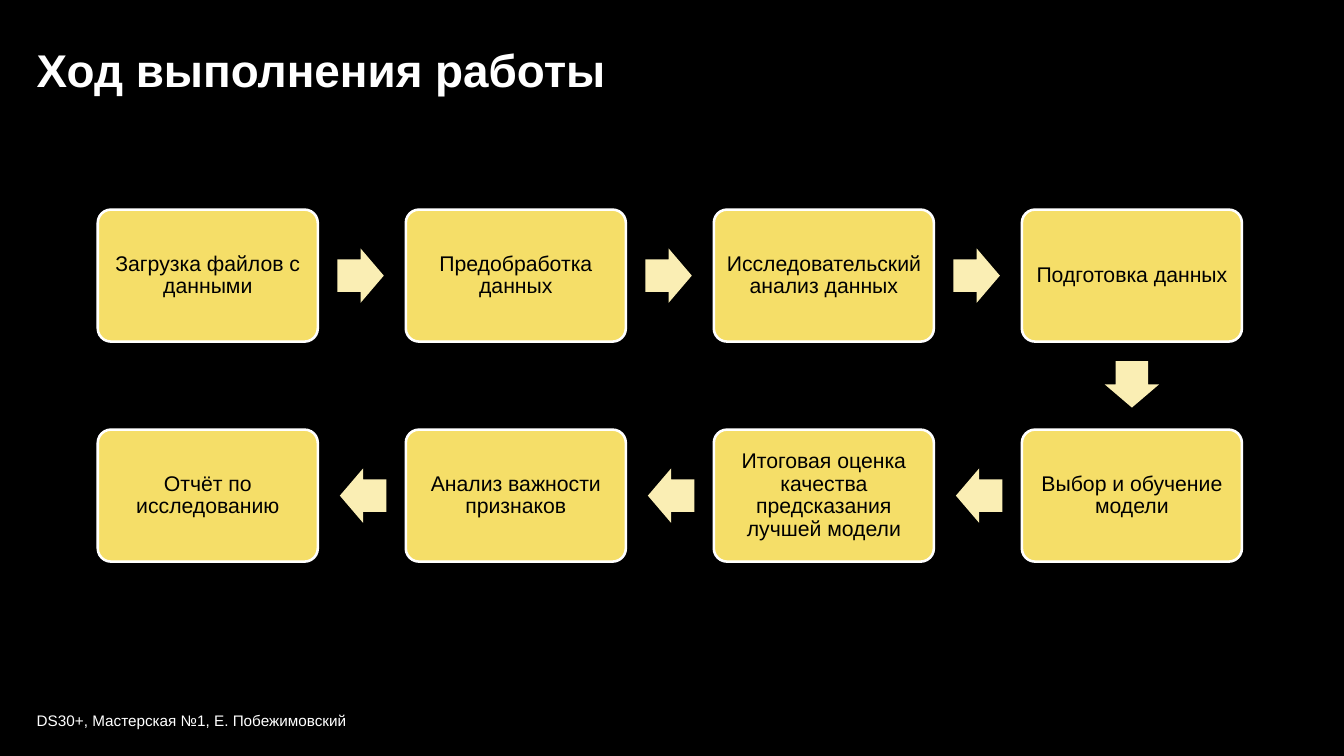
from pptx import Presentation
from pptx.dml.color import RGBColor
from pptx.enum.shapes import MSO_SHAPE
from pptx.enum.text import MSO_ANCHOR, PP_ALIGN
from pptx.util import Inches, Pt

ROUNDED = MSO_SHAPE.ROUNDED_RECTANGLE
ARROW = MSO_SHAPE.RIGHT_ARROW
TOP, MIDDLE = MSO_ANCHOR.TOP, MSO_ANCHOR.MIDDLE
LEFT, CENTER = PP_ALIGN.LEFT, PP_ALIGN.CENTER

COLORS = {"black": "000000", "white": "FFFFFF", "step": "F5DE68", "arrow": "FAEEB4"}
FONT = "Arial"

STEPS = [
    "Загрузка файлов с данными",
    "Предобработка данных",
    "Исследовательский анализ данных",
    "Подготовка данных",
    "Выбор и обучение модели",
    "Итоговая оценка качества предсказания лучшей модели",
    "Анализ важности признаков",
    "Отчёт по исследованию",
]
COLUMNS = 4
STEP_W, STEP_H = 3.6, 2.16
FIRST_X, FIRST_Y = 3.4, 4.51  # centre of the first step
PITCH_X, PITCH_Y = 5.04, 3.6
ARROW_W, ARROW_H = 0.76, 0.89
ARROW_SHIFT = 0.02  # arrows sit slightly nearer the step they leave


def color(name):
    return RGBColor.from_string(COLORS[name])


def write(shape, text, size=25, ink="black", bold=False, align=LEFT,
          anchor=TOP, spacing=1.0, insets=(0, 0, 0, 0)):
    frame = shape.text_frame
    frame.word_wrap = True
    frame.vertical_anchor = anchor
    (frame.margin_left, frame.margin_top,
     frame.margin_right, frame.margin_bottom) = map(Inches, insets)
    frame.text = text
    paragraph = frame.paragraphs[0]
    paragraph.alignment = align
    paragraph.line_spacing = spacing
    font = paragraph.font
    font.name, font.size, font.bold = FONT, Pt(size), bold
    font.color.rgb = color(ink)


class WorkflowSlide:
    def __init__(self, prs):
        self.slide = prs.slides.add_slide(prs.slide_layouts[5])
        background = self.slide.background.fill
        background.solid()
        background.fore_color.rgb = color("black")

    def title(self, text):
        title = self.slide.shapes.title
        title.left, title.top = Inches(0.6), Inches(0.56)
        title.width, title.height = Inches(9.56), Inches(1.03)
        write(title, text, size=54, ink="white", bold=True,
              spacing=1.08, insets=(0, 0.05, 0, 0))

    def block(self, preset, x, y, width, height, fill):
        """Add a filled shape centred on x, y."""
        block = self.slide.shapes.add_shape(
            preset, Inches(x - width / 2), Inches(y - height / 2),
            Inches(width), Inches(height))
        block.shadow.inherit = False
        block.fill.solid()
        block.fill.fore_color.rgb = color(fill)
        block.line.fill.background()
        return block

    def step(self, x, y, text):
        step = self.block(ROUNDED, x, y, STEP_W, STEP_H, "step")
        step.adjustments[0] = 0.1
        step.line.color.rgb = color("white")
        step.line.width = Pt(3)
        write(step, text, align=CENTER, anchor=MIDDLE, spacing=0.9,
              insets=(0.1, 0.1, 0.1, 0.1))

    def arrow(self, x, y, rotation):
        arrow = self.block(ARROW, x, y, ARROW_W, ARROW_H, "arrow")
        arrow.adjustments[0] = 0.6
        arrow.adjustments[1] = 0.5
        arrow.rotation = rotation

    def footer(self, text):
        footer = self.slide.shapes.add_textbox(
            Inches(0.6), Inches(11.59), Inches(6.38), Inches(0.36))
        write(footer, text, size=18, ink="white", spacing=1.18)


def step_center(index):
    """Rows run alternately rightwards and leftwards."""
    row, column = divmod(index, COLUMNS)
    if row % 2:
        column = COLUMNS - 1 - column
    return FIRST_X + column * PITCH_X, FIRST_Y + row * PITCH_Y


def main():
    prs = Presentation()
    prs.slide_width, prs.slide_height = Inches(21.99), Inches(12.37)
    workflow = WorkflowSlide(prs)
    workflow.title("Ход выполнения работы")

    # Steps, each followed by an arrow to the next one
    centers = [step_center(i) for i in range(len(STEPS))]
    for i, (text, (x, y)) in enumerate(zip(STEPS, centers)):
        workflow.step(x, y, text)
        if i + 1 < len(STEPS):
            next_x, next_y = centers[i + 1]
            mid_x, mid_y = (x + next_x) / 2, (y + next_y) / 2
            if next_y > y:
                workflow.arrow(mid_x, mid_y - ARROW_SHIFT, 90)
            elif next_x > x:
                workflow.arrow(mid_x - ARROW_SHIFT, mid_y, 0)
            else:
                workflow.arrow(mid_x + ARROW_SHIFT, mid_y, 180)

    workflow.footer("DS30+, Мастерская №1, Е. Побежимовский")
    prs.save("out.pptx")


if __name__ == "__main__":
    main()
